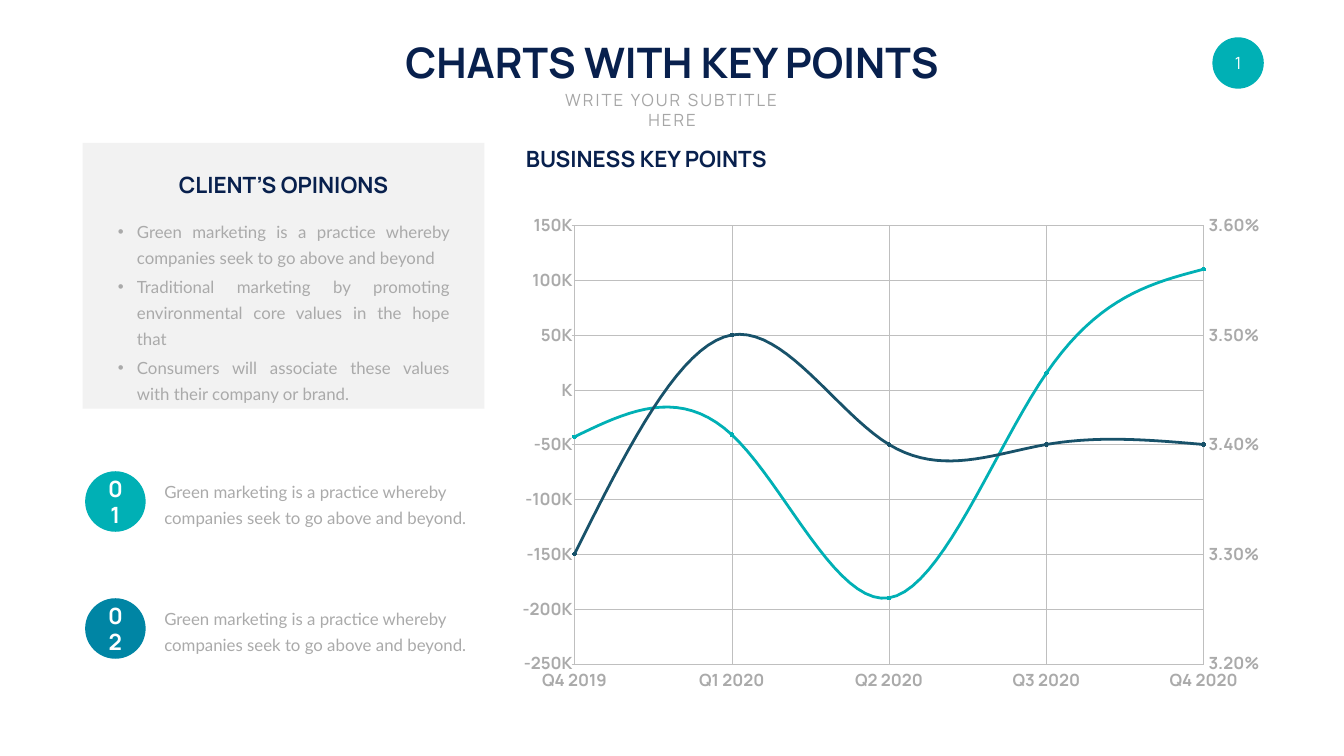
from copy import deepcopy
from dataclasses import dataclass

from lxml import etree
from pptx import Presentation
from pptx import util as u
from pptx.chart import axis as ax
from pptx.chart import data as cd
from pptx.dml.color import RGBColor
from pptx.enum import chart as ch, shapes, text
from pptx.oxml.ns import qn

# Content
TITLE = "CHARTS WITH KEY POINTS"
SUBTITLE = "WRITE YOUR SUBTITLE HERE"
PAGE = "1"
CHART_HEADING = "BUSINESS KEY POINTS"
OPINIONS_HEADING = "CLIENT’S OPINIONS"
OPINIONS = [
    "Green marketing is a practice whereby companies seek to go above and beyond",
    "Traditional marketing by promoting environmental core values in the hope that",
    "Consumers will associate these values with their company or brand.",
]
KEY_POINTS = [
    ("01", "00B0B5", "Green marketing is a practice whereby companies seek to go above and beyond."),
    ("02", "0085A4", "Green marketing is a practice whereby companies seek to go above and beyond."),
]
QUARTERS = ["Q4 2019", "Q1 2020", "Q2 2020", "Q3 2020", "Q4 2020"]
SERIES = [  # name, values, line colour, marker colour
    ("Series 1", [-43000, -41000, -190000, 15000, 110000], "00B0B5", "00B0B5"),
    ("Series 2", [0.033, 0.035, 0.034, 0.034, 0.034], "18526A", "6488B7"),
]
PLOT_AREA = {"x": 0.073, "y": 0.031, "w": 0.855, "h": 0.888}


@dataclass
class Theme:
    navy: str = "08204D"
    teal: str = "00B0B5"
    grey: str = "AAAAAA"
    subtitle: str = "A6A6A6"
    panel: str = "F2F2F2"
    grid: str = "BFBFBF"
    white: str = "FFFFFF"
    display: str = "Manrope"
    body: str = "Lato"
    title_size: int = 60
    heading_size: int = 32
    text_size: int = 24
    leading: int = 37


T = Theme()
ALIGN, ANCHOR = text.PP_ALIGN, text.MSO_ANCHOR


def style_font(font, size, color, face, bold=False):
    font.size, font.name, font.bold = u.Pt(size), face, bold
    font.color.rgb = RGBColor.from_string(color)


def add_shape(slide, kind, box, fill):
    shape = slide.shapes.add_shape(kind, *map(u.Cm, box))
    shape.shadow.inherit = False
    shape.fill.solid()
    shape.fill.fore_color.rgb = RGBColor.from_string(fill)
    shape.line.fill.background()
    return shape


def write(frame, lines, size, color, face, bold=False, align=ALIGN.LEFT,
          anchor=ANCHOR.TOP, wrap=True, leading=None):
    frame.word_wrap, frame.vertical_anchor = wrap, anchor
    for i, line in enumerate(lines):
        par = frame.add_paragraph() if i else frame.paragraphs[0]
        par.alignment = align
        if leading:
            par.line_spacing, par.space_before = u.Pt(leading), u.Pt(0.2 * size)
        run = par.add_run()
        run.text = line
        style_font(run.font, size, color, face, bold)
    return frame


def add_text(slide, box, lines, *style, **options):
    frame = slide.shapes.add_textbox(*map(u.Cm, box)).text_frame
    frame.auto_size = text.MSO_AUTO_SIZE.SHAPE_TO_FIT_TEXT
    return write(frame, lines, *style, **options)


def child(parent, tag, val):
    return etree.SubElement(parent, qn(tag), val=str(val))


def style_axis(axis):
    style_font(axis.tick_labels.font, T.text_size, T.grey, T.display, True)
    axis.major_tick_mark = axis.minor_tick_mark = ch.XL_TICK_MARK.NONE
    axis.format.line.fill.background()
    axis.has_major_gridlines = True
    line = axis.major_gridlines.format.line
    line.color.rgb, line.width = RGBColor.from_string(T.grid), u.Pt(0.25)


def scale_axis(axis, low, high, step, number_format):
    axis.minimum_scale, axis.maximum_scale, axis.major_unit = low, high, step
    axis.tick_labels.number_format = number_format
    axis.tick_labels.number_format_is_linked = False


def add_right_axis(chart):
    """Move the last series to a second line plot with its own axes."""
    plot_area = chart._chartSpace.find(".//" + qn("c:plotArea"))
    left_plot = plot_area.find(qn("c:lineChart"))
    right_plot = deepcopy(left_plot)
    left_plot.remove(left_plot.findall(qn("c:ser"))[-1])
    right_plot.remove(right_plot.findall(qn("c:ser"))[0])
    left_plot.addnext(right_plot)

    category = deepcopy(plot_area.find(qn("c:catAx")))
    value = deepcopy(plot_area.find(qn("c:valAx")))
    plot_area.find(qn("c:valAx")).addnext(value)
    value.addnext(category)
    ids = {category: "50010", value: "50020"}
    for own, other in ((category, value), (value, category)):
        own.find(qn("c:axId")).set("val", ids[own])
        own.find(qn("c:crossAx")).set("val", ids[other])
    for ref, new_id in zip(right_plot.findall(qn("c:axId")), ids.values()):
        ref.set("val", new_id)

    hidden, right = ax.CategoryAxis(category), ax.ValueAxis(value)
    hidden.visible = hidden.has_major_gridlines = right.has_major_gridlines = False
    value.find(qn("c:axPos")).set("val", "r")
    hidden.crosses = right.crosses = ch.XL_AXIS_CROSSES.MAXIMUM
    right.tick_label_position = ch.XL_TICK_LABEL_POSITION.HIGH
    right.major_tick_mark = ch.XL_TICK_MARK.OUTSIDE
    right.format.line.color.rgb = RGBColor.from_string(T.grid)
    right.format.line.width = u.Pt(0.25)
    scale_axis(right, 0.032, 0.036, 0.001, "0.00%")


def add_line_chart(slide, box):
    data = cd.CategoryChartData()
    data.categories = QUARTERS
    for name, values, *_ in SERIES:
        data.add_series(name, values)
    chart = slide.shapes.add_chart(ch.XL_CHART_TYPE.LINE_MARKERS, *map(u.Cm, box), data).chart
    chart.has_legend = chart.has_title = False
    style_font(chart.font, 11, T.grey, "Calibri")
    chart.plots[0].vary_by_categories = False

    for series, (_, _, color, marker_color) in zip(chart.plots[0].series, SERIES):
        series.smooth = True
        series.format.line.color.rgb = RGBColor.from_string(color)
        series.format.line.width = u.Pt(4)
        marker = series.marker
        marker.style, marker.size = ch.XL_MARKER_STYLE.CIRCLE, 5
        marker.format.fill.solid()
        marker.format.fill.fore_color.rgb = RGBColor.from_string(marker_color)
        marker.format.line.color.rgb = RGBColor.from_string(marker_color)

    style_axis(chart.category_axis)
    chart.category_axis.tick_label_position = ch.XL_TICK_LABEL_POSITION.LOW
    style_axis(chart.value_axis)

    # Inner plot position, and lines that start on the axis
    plot_area = chart._chartSpace.find(".//" + qn("c:plotArea"))
    for old in plot_area.findall(qn("c:layout")) + plot_area.findall(".//" + qn("c:crossBetween")):
        old.getparent().remove(old)
    layout = etree.Element(qn("c:layout"))
    manual = etree.SubElement(layout, qn("c:manualLayout"))
    child(manual, "c:layoutTarget", "inner")
    for side in "xy":
        child(manual, f"c:{side}Mode", "edge")
    for side, share in PLOT_AREA.items():
        child(manual, f"c:{side}", share)
    plot_area.insert(0, layout)
    crosses = plot_area.find(qn("c:valAx")).find(qn("c:crosses"))
    crosses.addnext(etree.Element(qn("c:crossBetween"), val="midCat"))

    scale_axis(chart.value_axis, -250000, 150000, 50000, "#,\\K")
    add_right_axis(chart)


def main():
    prs = Presentation()
    prs.slide_width, prs.slide_height = u.Cm(67.72), u.Cm(38.1)
    slide = prs.slides.add_slide(prs.slide_layouts[6])
    oval, rect = shapes.MSO_SHAPE.OVAL, shapes.MSO_SHAPE.RECTANGLE
    heading = (T.heading_size, T.navy, T.display, True)
    body = (T.text_size, T.grey, T.body)

    # Page badge
    badge = add_shape(slide, oval, (61.09, 1.88, 2.59, 2.59), T.teal).text_frame
    badge.margin_left = badge.margin_right = badge.margin_top = badge.margin_bottom = 0
    write(badge, [PAGE], T.text_size, T.white, T.display, align=ALIGN.CENTER, anchor=ANCHOR.MIDDLE)

    # Chart, title and headings
    add_line_chart(slide, (26.24, 10.59, 37.24, 24.87))
    add_text(slide, (19.74, 1.7, 28.24, 2.82), [TITLE], T.title_size, T.navy, T.display, True,
             align=ALIGN.CENTER, wrap=False)
    subtitle = add_text(slide, (26.97, 4.38, 13.79, 1.27), [SUBTITLE], T.text_size, T.subtitle,
                        T.display, align=ALIGN.CENTER)
    subtitle.paragraphs[0].runs[0].font._element.set("spc", "300")
    add_text(slide, (26.25, 7.2, 12.8, 1.63), [CHART_HEADING], *heading, wrap=False)

    # Opinions panel
    add_shape(slide, rect, (4.17, 7.2, 20.24, 13.39), T.panel)
    add_text(slide, (8.65, 8.48, 11.28, 1.63), [OPINIONS_HEADING], *heading,
             align=ALIGN.CENTER, wrap=False)
    opinions = add_text(slide, (5.33, 10.59, 17.93, 8.79), OPINIONS, *body,
                        align=ALIGN.JUSTIFY, leading=T.leading)
    opinions.margin_left = opinions.margin_right = u.Cm(0.61)
    opinions.margin_top = opinions.margin_bottom = u.Cm(0.3)
    for par in opinions.paragraphs:
        props = par._p.get_or_add_pPr()
        props.set("marL", str(u.Cm(0.96)))
        props.set("indent", str(-u.Cm(0.96)))
        etree.SubElement(props, qn("a:buFont"), typeface="Arial")
        etree.SubElement(props, qn("a:buChar"), char="•")

    # Numbered key points
    left, top, size, step = 4.29, 23.75, 3.05, 6.4
    for i, (number, color, caption) in enumerate(KEY_POINTS):
        y = top + i * step
        middle = y + size / 2
        add_shape(slide, oval, (left, y, size, size), color)
        add_text(slide, (left + (size - 1.6) / 2, middle - 0.81, 1.6, 1.62), [number],
                 T.heading_size, T.white, T.display, True, align=ALIGN.CENTER, anchor=ANCHOR.MIDDLE)
        add_text(slide, (8.03, middle - 1.37, 16.38, 2.74), [caption], *body,
                 anchor=ANCHOR.MIDDLE, leading=T.leading)

    prs.save("out.pptx")


if __name__ == "__main__":
    main()
